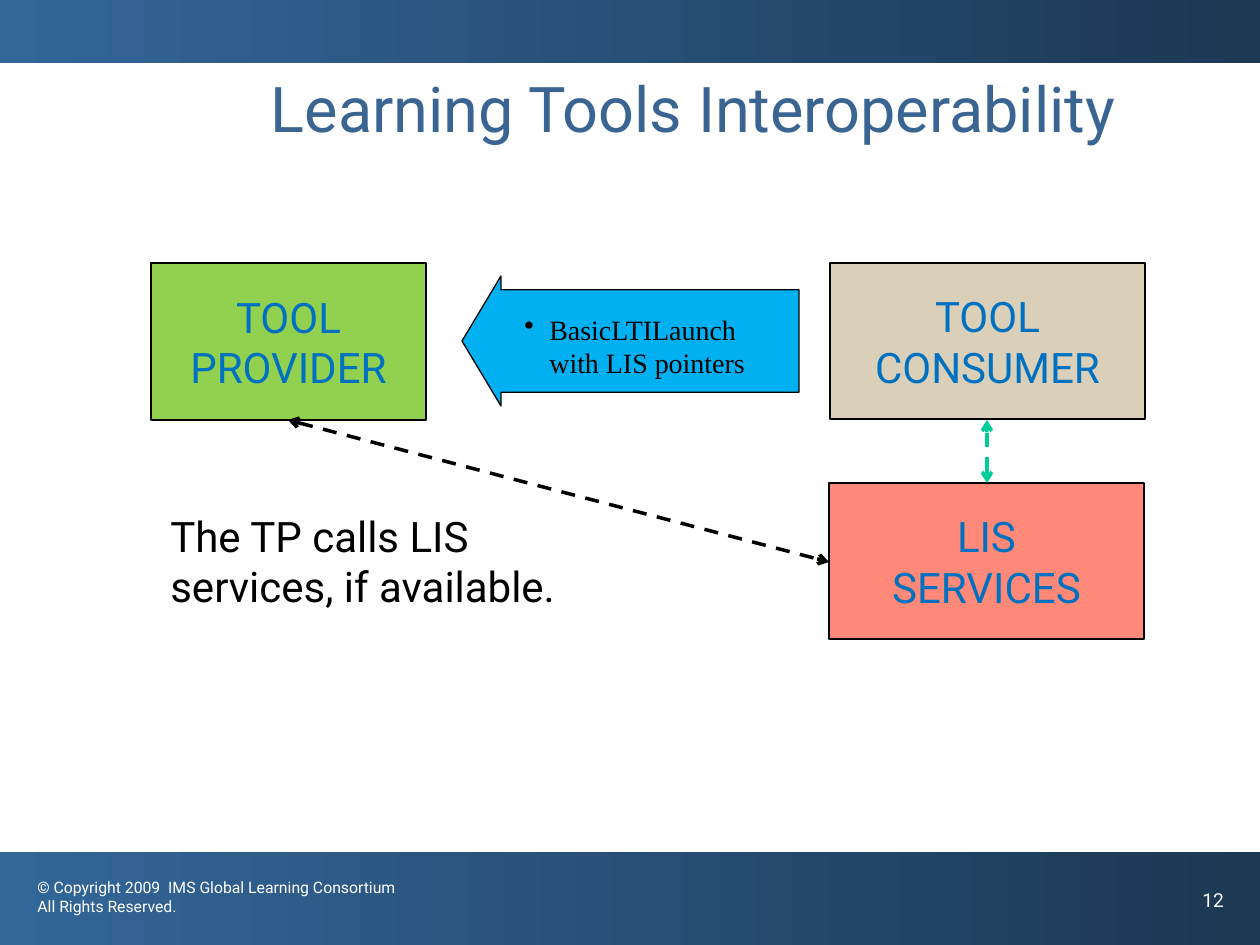
import pptx
import pptx.util
import pptx.dml.color
import pptx.enum.dml
import pptx.enum.shapes
import pptx.enum.text
import pptx.oxml
import pptx.oxml.ns
import lxml.etree

PX = 914400 / 126
SANS, SERIF = "Roboto", "Times New Roman"
COLORS = {
    "navy": "1C3853", "steel": "336699", "title": "3A6492",
    "label": "0070C0", "white": "FFFFFF", "black": "000000",
    "green": "92D050", "sand": "DACFB9", "coral": "FF8979",
    "sky": "00B0F0", "teal": "00CC99",
}
KIND = pptx.enum.shapes.MSO_SHAPE
CENTER = pptx.enum.text.PP_ALIGN.CENTER


def emu(*sizes):
    return [round(size * PX) for size in sizes]


def color(name):
    return pptx.dml.color.RGBColor.from_string(COLORS[name])


def node(parent, tag, **attrs):
    return lxml.etree.SubElement(parent, pptx.oxml.ns.qn(tag), attrs)


def write(frame, lines, size, ink, font=SANS, align=None, space=None):
    frame.word_wrap = True
    for i, line in enumerate(lines):
        para = frame.paragraphs[0] if i == 0 else frame.add_paragraph()
        para.alignment = align
        para.line_spacing = space
        run = para.add_run()
        run.text = line
        run.font.size = pptx.util.Pt(size)
        run.font.name = font
        run.font.color.rgb = color(ink)


def add_text(slide, box, lines, size, ink, **style):
    frame = slide.shapes.add_textbox(*emu(*box)).text_frame
    write(frame, lines, size, ink, **style)
    return frame


def add_bar(slide, top, height):
    """Full-width band that fades from steel on the left to navy."""
    bar = slide.shapes.add_shape(KIND.RECTANGLE, *emu(0, top, 1260, height))
    bar.shadow.inherit = False
    bar.line.fill.background()
    bar.fill.gradient()
    bar.fill.gradient_angle = 180
    for stop, name in zip(bar.fill.gradient_stops, ("navy", "steel")):
        stop.color.rgb = color(name)


def add_shape(slide, kind, box, fill):
    shape = slide.shapes.add_shape(kind, *emu(*box))
    shape.shadow.inherit = False
    shape.fill.solid()
    shape.fill.fore_color.rgb = color(fill)
    shape.line.color.rgb = color("black")
    shape.line.width = pptx.util.Pt(0.75)
    return shape


def add_box(slide, box, fill, lines):
    frame = add_shape(slide, KIND.RECTANGLE, box, fill).text_frame
    frame.vertical_anchor = pptx.enum.text.MSO_ANCHOR.MIDDLE
    write(frame, lines, 24, "label", align=CENTER)


def add_launch(slide):
    """Block arrow with its bulleted caption."""
    arrow = add_shape(slide, KIND.LEFT_ARROW, (462, 276, 337, 130), "sky")
    arrow.adjustments[0] = 0.79
    arrow.adjustments[1] = 0.3
    frame = add_text(slide, (512, 306, 256, 113),
                     ["BasicLTILaunch with LIS pointers"],
                     16, "black", font=SERIF)
    props = frame.paragraphs[0]._p.get_or_add_pPr()
    indent = emu(25)[0]
    props.set("marL", str(indent))
    props.set("indent", str(-indent))
    node(node(props, "a:buClr"), "a:srgbClr", val=COLORS["black"])
    node(props, "a:buChar", char="•")


def add_link(slide, start, end, ink):
    """Dashed line with an arrowhead at both ends."""
    link = slide.shapes.add_connector(
        pptx.enum.shapes.MSO_CONNECTOR.STRAIGHT, *emu(*start, *end))
    link.line.color.rgb = color(ink)
    link.line.width = pptx.util.Pt(2)
    link.line.dash_style = pptx.enum.dml.MSO_LINE.DASH
    line = link.line._get_or_add_ln()
    node(line, "a:headEnd", type="arrow")
    node(line, "a:tailEnd", type="arrow")
    node(link._element.spPr, "a:effectLst")


def main():
    deck = pptx.Presentation()
    deck.slide_width, deck.slide_height = emu(1260, 945)
    slide = deck.slides.add_slide(deck.slide_layouts[6])

    add_bar(slide, 852, 93)
    add_text(slide, (25, 872, 394, 63),
             ["© Copyright 2009  IMS Global Learning Consortium",
              "All Rights Reserved."], 9, "white")
    add_bar(slide, 0, 63)
    add_text(slide, (1190, 882, 70, 63), ["12"], 11, "white")
    add_text(slide, (158, 69, 1071, 158), ["Learning Tools Interoperability"],
             36, "title", align=CENTER, space=0.95)

    add_box(slide, (151, 263, 275, 157), "green", ["TOOL PROVIDER"])
    add_box(slide, (830, 263, 315, 156), "sand", ["TOOL CONSUMER"])
    add_launch(slide)
    add_box(slide, (829, 483, 315, 156), "coral", ["LIS", "SERVICES"])
    add_link(slide, (288, 420), (829, 562), "black")
    add_link(slide, (987, 483), (987, 420), "teal")
    add_text(slide, (158, 504, 494, 113),
             ["The TP calls LIS", "services, if available."], 24, "black")
    deck.save("out.pptx")


if __name__ == "__main__":
    main()
